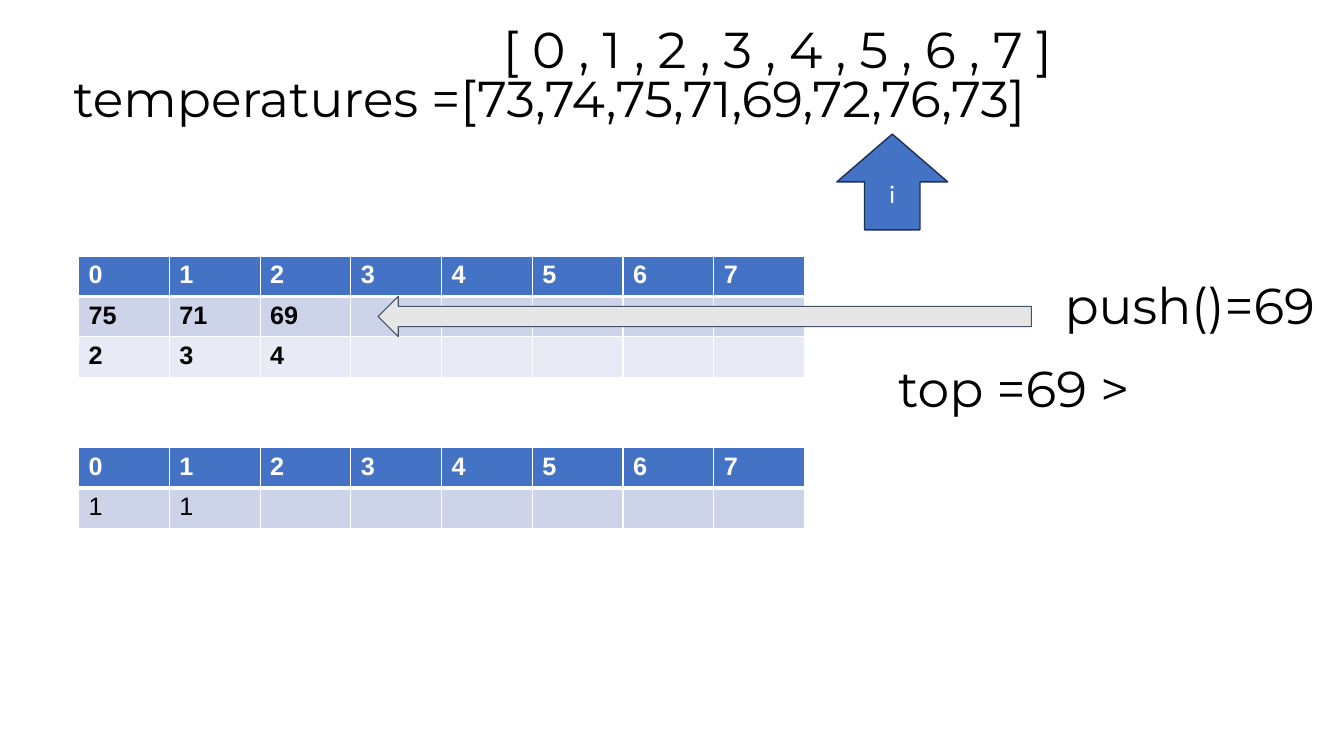
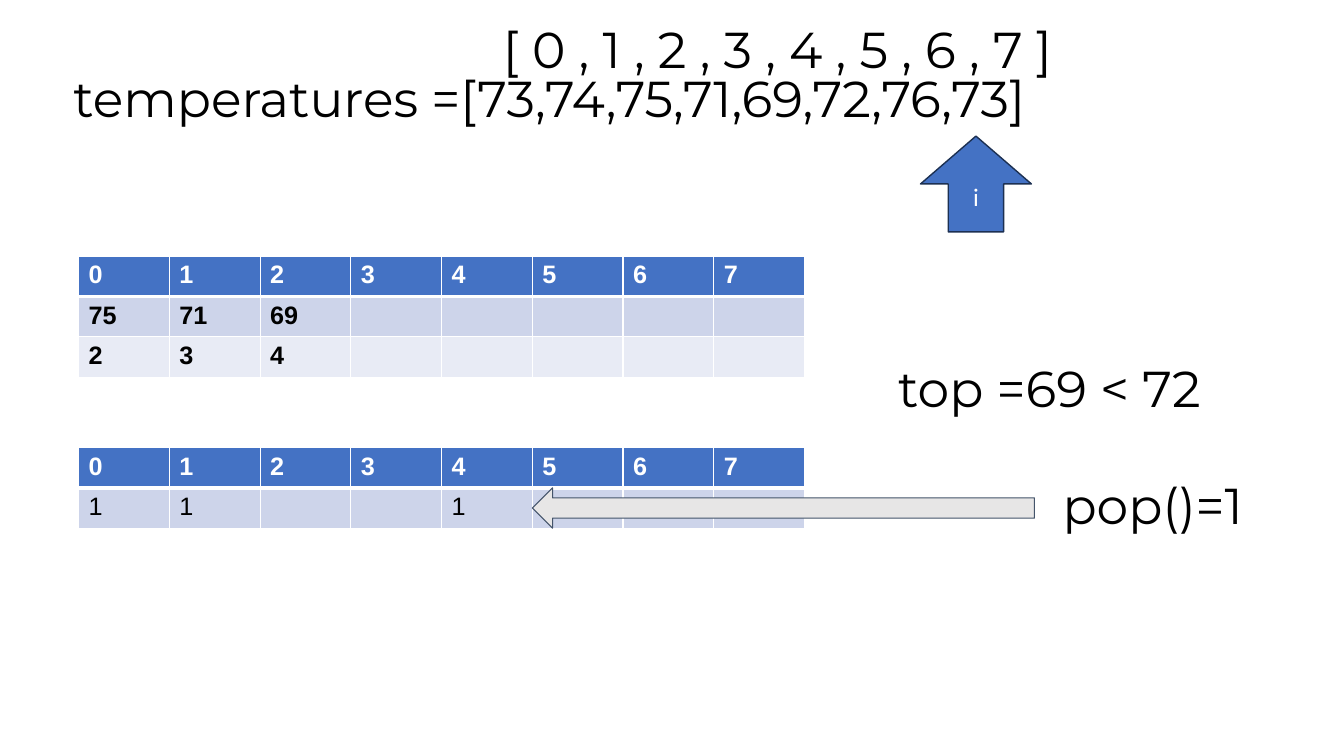
from lxml import etree
from pptx import Presentation
from pptx.dml.color import RGBColor
from pptx.enum.shapes import MSO_SHAPE
from pptx.enum.text import MSO_ANCHOR, PP_ALIGN
from pptx.oxml.ns import qn
from pptx.util import Inches, Pt

UP_ARROW, LEFT_ARROW = MSO_SHAPE.UP_ARROW, MSO_SHAPE.LEFT_ARROW
TOP, MIDDLE = MSO_ANCHOR.TOP, MSO_ANCHOR.MIDDLE

BLACK = RGBColor(0x00, 0x00, 0x00)
WHITE = RGBColor(0xFF, 0xFF, 0xFF)
BLUE = RGBColor(0x44, 0x72, 0xC4)
NAVY = RGBColor(0x1C, 0x30, 0x52)
GREY = RGBColor(0xE7, 0xE6, 0xE6)
SLATE = RGBColor(0x44, 0x54, 0x6A)
BANDS = [RGBColor(0xCD, 0xD4, 0xEA), RGBColor(0xE8, 0xEB, 0xF5)]

TITLE = "temperatures =[73,74,75,71,69,72,76,73]"
INDEXES = "[ 0 , 1 , 2 , 3 , 4 , 5 , 6 , 7 ]"
COLUMNS = 8
TABLE_LEFT, COLUMN_WIDTH, ROW_HEIGHT = 0.78, 0.9, 0.39
STACK_TOP, ANSWER_TOP = 2.54, 4.44

STACK = [["75", "71", "69"], ["2", "3", "4"]]
# Boxes are (left, top, width, height) in inches.
STEPS = [
    {
        "pointer": (8.3, 1.33, 1.1, 0.95),
        "answers": ["1", "1"],
        "compare": ("top =69 >", (8.81, 3.51, 3.28, 0.75)),
        "arrow": (3.75, 2.94, 6.48, 0.4),
        "action": ("push()=69", (10.46, 2.69, 3.28, 0.75)),
    },
    {
        "pointer": (9.13, 1.35, 1.1, 0.95),
        "answers": ["1", "1", "", "", "1"],
        "compare": ("top =69 < 72", (8.81, 3.51, 4.24, 0.75)),
        "arrow": (5.28, 4.84, 4.98, 0.4),
        "action": ("pop()=1", (10.44, 4.67, 3.28, 0.75)),
    },
]


def inches(box):
    return [Inches(value) for value in box]


def style_font(font, name, size, color, bold=False):
    font.name, font.size, font.bold = name, Pt(size), bold
    font.color.rgb = color


def add_label(slide, text, box, anchor=TOP, inset=0.1):
    frame = slide.shapes.add_textbox(*inches(box)).text_frame
    frame.word_wrap = True
    frame.vertical_anchor = anchor
    frame.margin_top = frame.margin_bottom = Inches(inset)
    frame.text = text
    paragraph = frame.paragraphs[0]
    paragraph.line_spacing = 0.9
    style_font(paragraph.runs[0].font, "Montserrat", 36, BLACK)


def add_arrow(slide, kind, box, fill, line, line_width):
    arrow = slide.shapes.add_shape(kind, *inches(box))
    arrow.shadow.inherit = False
    arrow.fill.solid()
    arrow.fill.fore_color.rgb = fill
    arrow.line.color.rgb = line
    arrow.line.width = Pt(line_width)
    return arrow


def add_pointer(slide, box):
    frame = add_arrow(slide, UP_ARROW, box, BLUE, NAVY, 1).text_frame
    frame.text = "i"
    frame.vertical_anchor = MIDDLE
    frame.paragraphs[0].alignment = PP_ALIGN.CENTER
    style_font(frame.paragraphs[0].runs[0].font, "Calibri", 18, WHITE)


def set_borders(cell, widths):
    """Draw white borders, widths in points by side (L, R, T, B)."""
    properties = cell._tc.get_or_add_tcPr()
    for position, (side, width) in enumerate(widths.items()):
        line = etree.Element(qn(f"a:ln{side}"), w=str(Pt(width)))
        fill = etree.SubElement(line, qn("a:solidFill"))
        etree.SubElement(fill, qn("a:srgbClr"), val=str(WHITE))
        properties.insert(position, line)


def add_grid(slide, top, body, bold):
    """Add a table headed by column indexes; short body rows end in empty cells."""
    rows = [[str(index) for index in range(COLUMNS)]] + body
    box = (TABLE_LEFT, top, COLUMN_WIDTH * COLUMNS, ROW_HEIGHT * len(rows))
    table = slide.shapes.add_table(len(rows), COLUMNS, *inches(box)).table
    for column in table.columns:
        column.width = Inches(COLUMN_WIDTH)
    for r, values in enumerate(rows):
        table.rows[r].height = Inches(ROW_HEIGHT)
        header = r == 0
        for c in range(COLUMNS):
            cell = table.cell(r, c)
            cell.fill.solid()
            cell.fill.fore_color.rgb = BLUE if header else BANDS[r - 1]
            set_borders(cell, {"L": 1, "R": 1, "T": 3 if r == 1 else 1, "B": 3 if header else 1})
            text = values[c] if c < len(values) else ""
            paragraph = cell.text_frame.paragraphs[0]
            if text:
                paragraph.text = text
                style_font(paragraph.runs[0].font, "Arial", 18,
                           WHITE if header else BLACK, header or bold)
            else:
                # A smaller end mark keeps empty cells from stretching the row.
                paragraph._p.get_or_add_endParaRPr().set("sz", "1600")


def add_step(slide, step):
    add_label(slide, TITLE, (0.63, 0.28, 11.68, 1.45), MIDDLE, 0.05)
    add_grid(slide, STACK_TOP, STACK, bold=True)
    add_pointer(slide, step["pointer"])
    add_grid(slide, ANSWER_TOP, [step["answers"]], bold=False)
    add_label(slide, *step["compare"])
    add_arrow(slide, LEFT_ARROW, step["arrow"], GREY, SLATE, 0.75)
    add_label(slide, *step["action"])
    add_label(slide, INDEXES, (4.89, 0.15, 8.23, 0.57))


def main():
    deck = Presentation()
    deck.slide_width, deck.slide_height = Inches(13.33), Inches(7.5)
    blank = deck.slide_layouts[6]
    for step in STEPS:
        add_step(deck.slides.add_slide(blank), step)
    deck.save("out.pptx")


if __name__ == "__main__":
    main()
